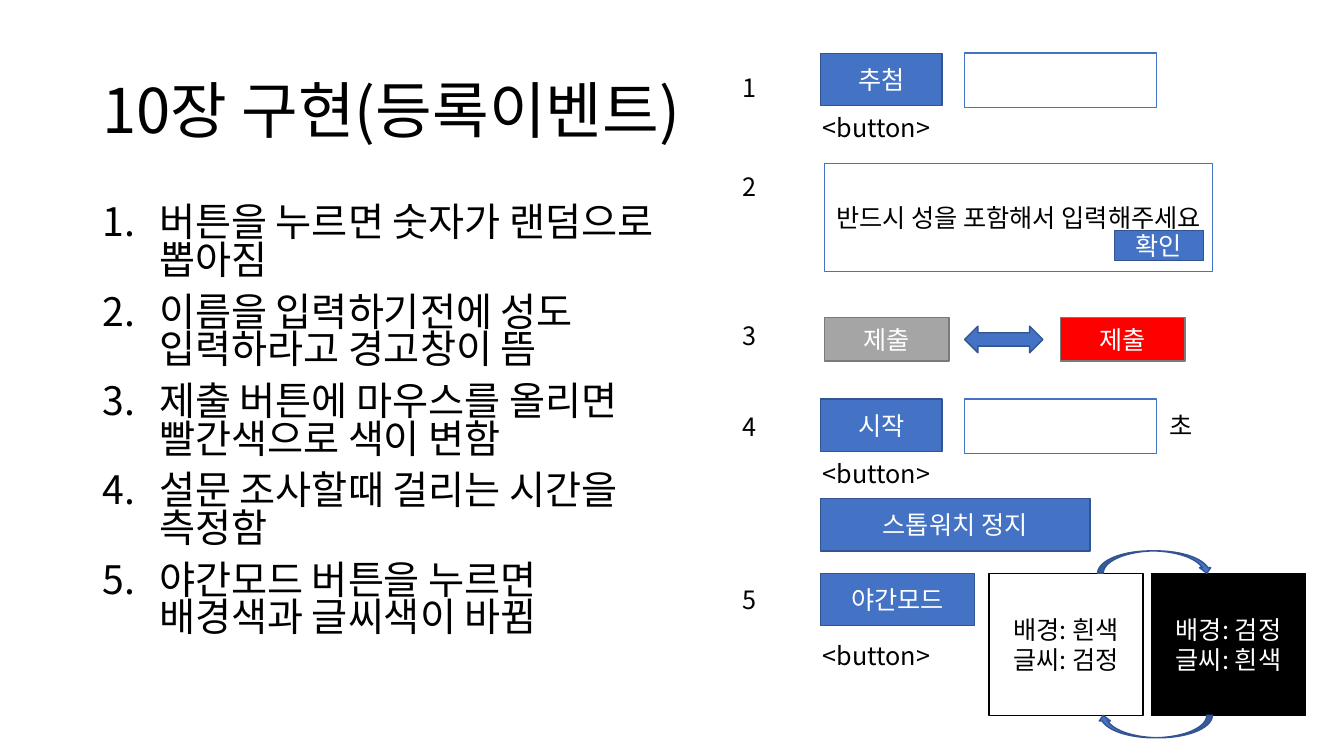
from dataclasses import dataclass

from lxml.etree import SubElement
from pptx import Presentation
from pptx.dml.color import RGBColor
from pptx.enum.shapes import MSO_SHAPE as Preset
from pptx.enum.text import MSO_ANCHOR as Anchor, MSO_AUTO_SIZE as AutoSize, PP_ALIGN as Align
from pptx.oxml.ns import qn
from pptx.slide import Slide
from pptx.text.text import TextFrame, _Paragraph as Paragraph
from pptx.util import Pt


@dataclass(frozen=True)
class Theme:
    font: str = "Noto Sans CJK KR"
    title_size: float = 44
    list_size: float = 28
    label_size: float = 18
    blue: str = "4472C4"
    navy: str = "325491"
    white: str = "FFFFFF"
    black: str = "000000"
    gray: str = "A5A5A5"
    dark_gray: str = "7A7A7A"
    red: str = "FF0000"


THEME = Theme()


@dataclass(frozen=True)
class Box:
    left: float
    top: float
    width: float
    height: float
    lines: tuple[str, ...] = ()
    fill: str = THEME.blue
    border: str = THEME.navy
    color: str = THEME.white
    preset: Preset = Preset.RECTANGLE
    flipped: bool = False


@dataclass(frozen=True)
class Label:
    text: str
    left: float
    top: float
    width: float


def add_run(paragraph: Paragraph, text: str, size: float, color: str) -> None:
    run = paragraph.add_run()
    run.text = text
    run.font.name = THEME.font
    run.font.size = Pt(size)
    run.font.color.rgb = RGBColor.from_string(color)
    SubElement(run.font._element, qn("a:ea"), typeface=THEME.font)


def write_lines(frame: TextFrame, lines: tuple[str, ...], size: float, color: str,
                align: Align = Align.LEFT) -> None:
    frame.word_wrap = True
    for index, line in enumerate(lines):
        paragraph = frame.add_paragraph() if index else frame.paragraphs[0]
        paragraph.alignment = align
        add_run(paragraph, line, size, color)


def draw_box(slide: Slide, box: Box) -> None:
    shape = slide.shapes.add_shape(box.preset, Pt(box.left), Pt(box.top), Pt(box.width), Pt(box.height))
    shape.shadow.inherit = False
    shape.fill.solid()
    shape.fill.fore_color.rgb = RGBColor.from_string(box.fill)
    shape.line.color.rgb = RGBColor.from_string(box.border)
    shape.line.width = Pt(1)
    shape.text_frame.vertical_anchor = Anchor.MIDDLE
    write_lines(shape.text_frame, box.lines, THEME.label_size, box.color, Align.CENTER)
    if box.flipped:
        shape.element.spPr.find(qn("a:xfrm")).set("flipH", "1")


def draw_label(slide: Slide, label: Label) -> None:
    text_box = slide.shapes.add_textbox(Pt(label.left), Pt(label.top), Pt(label.width), Pt(29))
    write_lines(text_box.text_frame, (label.text,), THEME.label_size, THEME.black)


def fill_placeholder(slide: Slide, index: int, box: Box, size: float, spacing: float) -> TextFrame:
    placeholder = slide.placeholders[index]
    placeholder.left, placeholder.top = Pt(box.left), Pt(box.top)
    placeholder.width, placeholder.height = Pt(box.width), Pt(box.height)
    frame = placeholder.text_frame
    frame.auto_size = AutoSize.NONE
    write_lines(frame, box.lines, size, THEME.black)
    for paragraph in frame.paragraphs:
        paragraph.line_spacing = spacing
    return frame


def number_paragraph(paragraph: Paragraph) -> None:
    paragraph.space_before = Pt(10)
    properties = paragraph._p.get_or_add_pPr()
    properties.set("marL", str(Pt(40.5)))
    properties.set("indent", str(-Pt(40.5)))
    SubElement(properties, qn("a:buFont"), typeface="+mj-lt")
    SubElement(properties, qn("a:buAutoNum"), type="arabicPeriod")


TITLE = Box(66, 29, 828, 104, ("10장 구현(등록이벤트)",))
TASKS = Box(66, 144, 414, 343, (
    "버튼을 누르면 숫자가 랜덤으로 뽑아짐",
    "이름을 입력하기전에 성도 입력하라고 경고창이 뜸",
    "제출 버튼에 마우스를 올리면 빨간색으로 색이 변함",
    "설문 조사할때 걸리는 시간을 측정함",
    "야간모드 버튼을 누르면 배경색과 글씨색이 바뀜",
))

BUTTON_LEFT, BUTTON_HEIGHT = 586, 37.5
FIELD_LEFT = 689
DRAW_TOP, TIMER_TOP, NIGHT_TOP = 38, 285, 409.5
CARD_LEFT, CARD_STEP, CARD_WIDTH, CARD_HEIGHT = 706.5, 116, 110, 101.5
SWAP_LEFT, SWAP_WIDTH, SWAP_HEIGHT = 784, 82, 16


def button(text: str, top: float, width: float) -> Box:
    return Box(BUTTON_LEFT, top, width, BUTTON_HEIGHT, (text,))


def field(top: float) -> Box:
    return Box(FIELD_LEFT, top, 137, 39, fill=THEME.white, border=THEME.blue)


def submit(left: float, fill: str) -> Box:
    return Box(left, 227, 89, 31, ("제출",), fill, THEME.dark_gray)


def card(column: int, background: str, text: str, fill: str, color: str) -> Box:
    return Box(CARD_LEFT + column * CARD_STEP, NIGHT_TOP, CARD_WIDTH, CARD_HEIGHT,
               (f"배경: {background}", f"글씨: {text}"), fill, THEME.black, color)


BOXES = (
    button("추첨", DRAW_TOP, 87),
    field(DRAW_TOP),
    Box(589, 117, 277, 77, ("반드시 성을 포함해서 입력해주세요",), THEME.white, THEME.blue, THEME.black),
    Box(796, 164.5, 63.5, 21.5, ("확인",)),
    submit(589, THEME.gray),
    submit(757.5, THEME.red),
    Box(FIELD_LEFT, 233, 56, 19, preset=Preset.LEFT_RIGHT_ARROW),
    button("시작", TIMER_TOP, 87),
    field(TIMER_TOP),
    button("스톱워치 정지", 356, 192.5),
    button("야간모드", NIGHT_TOP, 110),
    card(0, "흰색", "검정", THEME.white, THEME.black),
    card(1, "검정", "흰색", THEME.black, THEME.white),
    Box(SWAP_LEFT, NIGHT_TOP - SWAP_HEIGHT, SWAP_WIDTH, SWAP_HEIGHT, preset=Preset.CURVED_DOWN_ARROW),
    Box(SWAP_LEFT, NIGHT_TOP + CARD_HEIGHT, SWAP_WIDTH, SWAP_HEIGHT, preset=Preset.CURVED_UP_ARROW, flipped=True),
)
LABELS = (
    *(Label(str(number), 523.5, top, 32) for number, top in enumerate((48, 119, 225, 290.5, 414), 1)),
    *(Label("<button>", 580.5, top, 182) for top in (76.5, 324, 454)),
    Label("초", 828, 289.5, 89),
)


def main() -> None:
    presentation = Presentation()
    presentation.slide_width, presentation.slide_height = Pt(960), Pt(540)
    slide = presentation.slides.add_slide(presentation.slide_layouts[1])
    title = fill_placeholder(slide, 0, TITLE, THEME.title_size, 0.9)
    title.vertical_anchor = Anchor.MIDDLE
    tasks = fill_placeholder(slide, 1, TASKS, THEME.list_size, 0.8)
    for paragraph in tasks.paragraphs:
        number_paragraph(paragraph)
    for box in BOXES:
        draw_box(slide, box)
    for label in LABELS:
        draw_label(slide, label)
    presentation.save("out.pptx")


main()
